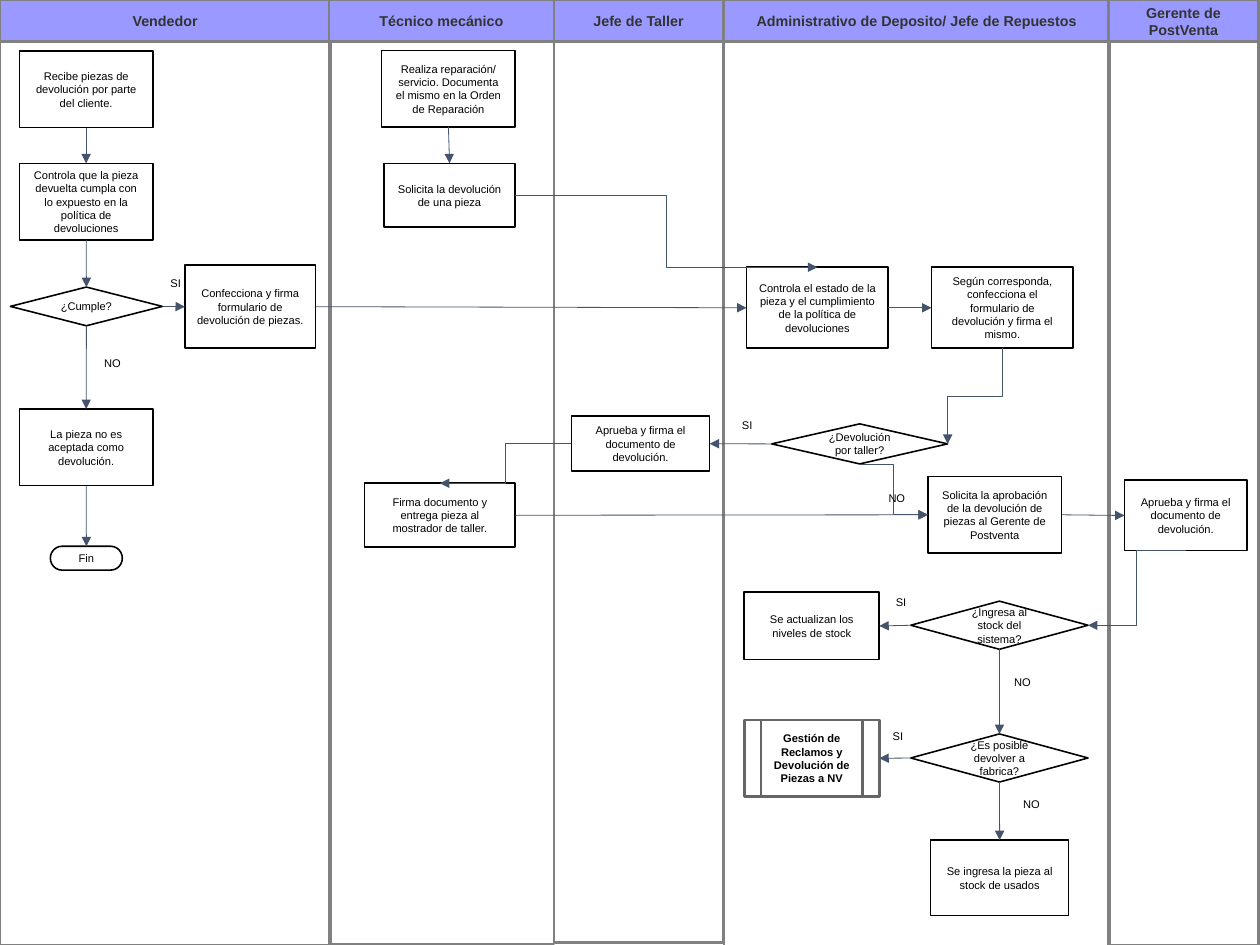
"""Swimlane flowchart of the parts return process."""
from typing import NamedTuple

from lxml.etree import SubElement
from pptx import Presentation
from pptx.dml.color import RGBColor
from pptx.enum.shapes import MSO_CONNECTOR as Link, MSO_SHAPE as Form
from pptx.enum.text import MSO_ANCHOR as Anchor, PP_ALIGN as Align
from pptx.oxml.ns import qn
from pptx.util import Cm, Pt

COLORS = {"header": "9999FF", "lane": "808080", "title": "333333", "white": "FFFFFF",
          "black": "000000", "process": "666666", "arrow": "44546A"}
TOP, LEFT, BOTTOM, RIGHT = range(4)
HEADER_HEIGHT = 0.93
LABEL_SIZES = {"SI": (0.79, 0.69), "NO": (1.04, 0.74)}


class Lane(NamedTuple):
    title: str
    left: float
    width: float
    bottom: float


class Node(NamedTuple):
    key: str
    text: str
    left: float
    top: float
    width: float = 2.97
    height: float = 1.7
    form: Form = Form.RECTANGLE
    line: str = "black"
    line_width: float = 1
    bold: bool = False


class Arrow(NamedTuple):
    source: str
    start_side: int
    target: str
    end_side: int
    link: Link = Link.STRAIGHT


class Label(NamedTuple):
    text: str
    left: float
    top: float


LANES = [
    Lane("Vendedor", 0, 7.34, 21),
    Lane("Técnico mecánico", 7.31, 5, 20.98),
    Lane("Jefe de Taller", 12.31, 3.76, 20.95),
    Lane("Administrativo de Deposito/ Jefe de Repuestos", 16.09, 8.56, 21.03),
    Lane("Gerente de PostVenta", 24.63, 3.34, 21),
]

NODES = [
    Node("recibe", "Recibe piezas de devolución por parte del cliente.", 0.43, 1.14),
    Node("politica", "Controla que la pieza devuelta cumpla con lo expuesto en la "
         "política de devoluciones", 0.43, 3.63),
    Node("cumple", "¿Cumple?", 0.23, 6.38, 3.38, 0.86, Form.FLOWCHART_DECISION),
    Node("rechazo", "La pieza no es aceptada como devolución.", 0.43, 9.09),
    Node("fin", "Fin", 1.12, 12.14, 1.6, 0.53, Form.FLOWCHART_TERMINATOR),
    Node("formulario", "Confecciona y firma formulario de devolución de piezas.",
         4.11, 5.89, 2.9, 1.85),
    Node("reparacion", "Realiza reparación/ servicio. Documenta el mismo en la Orden "
         "de Reparación", 8.48, 1.12),
    Node("solicitud", "Solicita la devolución de una pieza", 8.53, 3.63, 2.92, 1.42),
    Node("entrega", "Firma documento y entrega pieza al mostrador de taller.",
         8.1, 10.74, 3.35, 1.42),
    Node("jefe", "Aprueba y firma el documento de devolución.", 12.7, 9.25, 3.07, 1.22),
    Node("estado", "Controla el estado de la pieza y el cumplimiento de la política "
         "de devoluciones", 16.59, 5.94, 3.15, 1.8),
    Node("segun", "Según corresponda, confecciona el formulario de devolución y firma "
         "el mismo.", 20.7, 5.94, 3.15, 1.8),
    Node("taller", "¿Devolución por taller?", 17.15, 9.42, 3.91, 0.89,
         Form.FLOWCHART_DECISION),
    Node("aprobacion", "Solicita la aprobación de la devolución de piezas al Gerente "
         "de Postventa", 20.62, 10.59),
    Node("gerente", "Aprueba y firma el documento de devolución.",
         24.99, 10.67, 2.72, 1.57),
    Node("ingresa", "¿Ingresa al stock del sistema?", 20.24, 13.36, 3.94, 1.07,
         Form.FLOWCHART_DECISION),
    Node("niveles", "Se actualizan los niveles de stock", 16.54, 13.16, 3, 1.5),
    Node("fabrica", "¿Es posible devolver a fabrica?", 20.24, 16.31, 3.94, 1.07,
         Form.FLOWCHART_DECISION),
    Node("reclamos", "Gestión de Reclamos y Devolución de Piezas a NV", 16.54, 16, 3, 1.7,
         Form.FLOWCHART_PREDEFINED_PROCESS, "process", 1.7, True),
    Node("usados", "Se ingresa la pieza al stock de usados", 20.68, 18.67, 3.07, 1.68),
]

ARROWS = [
    Arrow("recibe", BOTTOM, "politica", TOP),
    Arrow("politica", BOTTOM, "cumple", TOP),
    Arrow("cumple", RIGHT, "formulario", LEFT),
    Arrow("cumple", BOTTOM, "rechazo", TOP),
    Arrow("rechazo", BOTTOM, "fin", TOP),
    Arrow("formulario", RIGHT, "estado", LEFT),
    Arrow("reparacion", BOTTOM, "solicitud", TOP),
    Arrow("solicitud", RIGHT, "estado", TOP, Link.ELBOW),
    Arrow("estado", RIGHT, "segun", LEFT),
    Arrow("segun", BOTTOM, "taller", RIGHT, Link.ELBOW),
    Arrow("taller", LEFT, "jefe", RIGHT),
    Arrow("taller", BOTTOM, "aprobacion", LEFT, Link.ELBOW),
    Arrow("jefe", LEFT, "entrega", TOP, Link.ELBOW),
    Arrow("entrega", RIGHT, "aprobacion", LEFT),
    Arrow("aprobacion", RIGHT, "gerente", LEFT),
    Arrow("gerente", BOTTOM, "ingresa", RIGHT, Link.ELBOW),
    Arrow("ingresa", LEFT, "niveles", RIGHT),
    Arrow("ingresa", BOTTOM, "fabrica", TOP),
    Arrow("fabrica", LEFT, "reclamos", RIGHT),
    Arrow("fabrica", BOTTOM, "usados", TOP),
]
VERTICAL_FIRST = {"segun"}

LABELS = [
    Label("SI", 3.51, 6.02), Label("NO", 1.98, 7.8),
    Label("SI", 16.21, 9.17), Label("NO", 19.41, 10.8),
    Label("SI", 19.63, 13.11), Label("NO", 22.2, 14.88),
    Label("SI", 19.56, 16.08), Label("NO", 22.4, 17.6),
]


def color(name: str) -> RGBColor:
    return RGBColor.from_string(COLORS[name])


def write(shape, text: str, size: float = 7, ink: str = "black", bold: bool = False) -> None:
    frame = shape.text_frame
    frame.text = text
    frame.word_wrap = True
    para = frame.paragraphs[0]
    para.alignment = Align.CENTER
    font = para.runs[0].font
    font.name, font.size, font.bold = "Arial", Pt(size), bold
    font.color.rgb = color(ink)


def draw_box(page, form: Form, bounds: tuple, fill: str | None, line: str, width: float):
    box = page.shapes.add_shape(form, *map(Cm, bounds))
    box.shadow.inherit = False
    if fill:
        box.fill.solid()
        box.fill.fore_color.rgb = color(fill)
    else:
        box.fill.background()
    box.line.color.rgb = color(line)
    box.line.width = Pt(width)
    box.text_frame.vertical_anchor = Anchor.MIDDLE
    return box


def draw_lane(page, lane: Lane) -> None:
    draw_box(page, Form.RECTANGLE, (lane.left, 0, lane.width, lane.bottom),
             None, "lane", 1.7)
    header = draw_box(page, Form.RECTANGLE, (lane.left, 0, lane.width, HEADER_HEIGHT),
                      "header", "lane", 1.7)
    write(header, lane.title, 9, "title", True)


def draw_node(page, node: Node):
    box = draw_box(page, node.form, (node.left, node.top, node.width, node.height),
                   "white", node.line, node.line_width)
    write(box, node.text, bold=node.bold)
    return box


def side_middle(box, side: int) -> tuple[int, int]:
    across = {LEFT: 0, RIGHT: box.width}.get(side, box.width // 2)
    down = {TOP: 0, BOTTOM: box.height}.get(side, box.height // 2)
    return box.left + across, box.top + down


def draw_arrow(page, arrow: Arrow, boxes: dict) -> None:
    source, target = boxes[arrow.source], boxes[arrow.target]
    x1, y1 = side_middle(source, arrow.start_side)
    x2, y2 = side_middle(target, arrow.end_side)
    turned = arrow.source in VERTICAL_FIRST
    if turned:
        mid_x, mid_y = (x1 + x2) // 2, (y1 + y2) // 2
        half_x, half_y = (y2 - y1) // 2, (x1 - x2) // 2
        x1, y1, x2, y2 = mid_x - half_x, mid_y - half_y, mid_x + half_x, mid_y + half_y
    connector = page.shapes.add_connector(arrow.link, x1, y1, x2, y2)
    if arrow.link == Link.STRAIGHT:
        connector.begin_connect(source, arrow.start_side)
        connector.end_connect(target, arrow.end_side)
    connector.line.color.rgb = color("arrow")
    connector.line.width = Pt(0.5)
    properties = connector.element.spPr
    if turned:
        properties.find(qn("a:xfrm")).set("rot", "5400000")
    SubElement(properties.find(qn("a:ln")), qn("a:tailEnd"), type="triangle")
    SubElement(properties, qn("a:effectLst"))


def draw_label(page, label: Label) -> None:
    bounds = (label.left, label.top, *LABEL_SIZES[label.text])
    write(page.shapes.add_textbox(*map(Cm, bounds)), label.text)


def main() -> None:
    deck = Presentation()
    deck.slide_width, deck.slide_height = Cm(28), Cm(21)
    page = deck.slides.add_slide(deck.slide_layouts[6])
    for lane in LANES:
        draw_lane(page, lane)
    boxes = {node.key: draw_node(page, node) for node in NODES}
    for arrow in ARROWS:
        draw_arrow(page, arrow, boxes)
    for label in LABELS:
        draw_label(page, label)
    deck.save("out.pptx")


if __name__ == "__main__":
    main()
